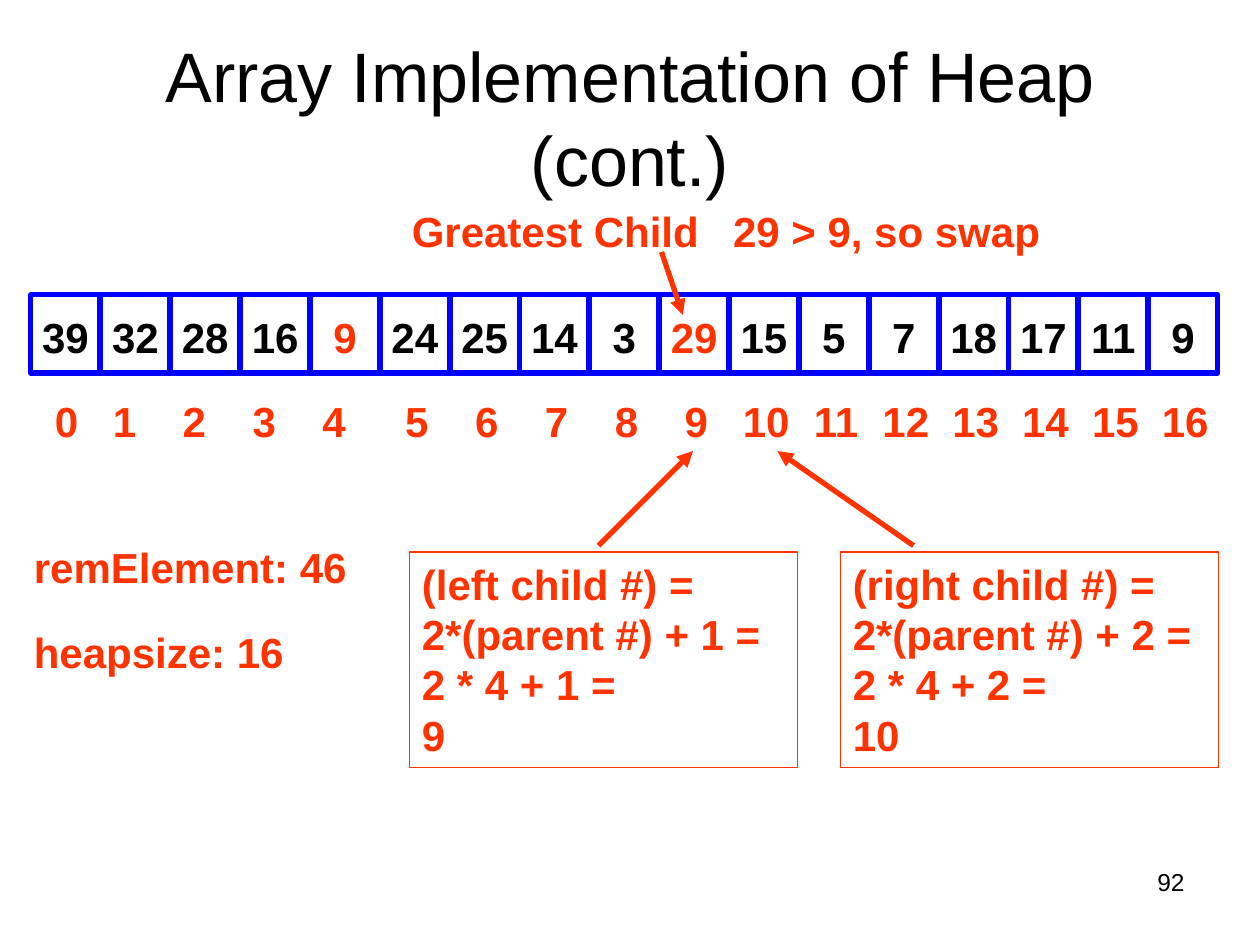
from lxml.etree import SubElement
from pptx import Presentation
from pptx.dml.color import RGBColor
from pptx.enum.shapes import MSO_CONNECTOR, MSO_SHAPE
from pptx.enum.text import MSO_ANCHOR, PP_ALIGN
from pptx.oxml.ns import qn
from pptx.util import Inches, Pt

BLACK = RGBColor(0x00, 0x00, 0x00)
WHITE = RGBColor(0xFF, 0xFF, 0xFF)
BLUE = RGBColor(0x00, 0x00, 0xFF)
ORANGE = RGBColor(0xFF, 0x33, 0x00)

prs = Presentation()
prs.slide_width, prs.slide_height = Inches(10), Inches(7.5)
slide = prs.slides.add_slide(prs.slide_layouts[6])
shapes = slide.shapes


def write(shape, text, color=ORANGE, size=24, bold=True, align=PP_ALIGN.LEFT, tabs=(), tab_align="l"):
    frame = shape.text_frame
    frame.word_wrap = True
    frame.text = text
    for paragraph in frame.paragraphs:
        paragraph.alignment = align
        if tabs:
            tab_list = SubElement(paragraph._p.get_or_add_pPr(), qn("a:tabLst"))
            for stop in tabs:
                SubElement(tab_list, qn("a:tab"), pos=str(Inches(stop)), algn=tab_align)
        for run in paragraph.runs:
            run.font.name = "Arial"
            run.font.size = Pt(size)
            run.font.bold = bold
            run.font.color.rgb = color
    return frame


def add_text(left, top, width, height, text, **style):
    box = shapes.add_textbox(Inches(left), Inches(top), Inches(width), Inches(height))
    return write(box, text, **style)


title = add_text(0.5, 0.3, 9, 1.25, "Array Implementation of Heap\v(cont.)",
                 color=BLACK, size=40, bold=False, align=PP_ALIGN.CENTER)
title.vertical_anchor = MSO_ANCHOR.MIDDLE

heap = [39, 32, 28, 16, 9, 24, 25, 14, 3, 29, 15, 5, 7, 18, 17, 11, 9]
swapped = (4, 9)
cell_width = 0.55
first_center, last_center = 0.52, 9.39
pitch = (last_center - first_center) / (len(heap) - 1)
for index, value in enumerate(heap):
    left = first_center + index * pitch - cell_width / 2
    cell = shapes.add_shape(MSO_SHAPE.RECTANGLE, Inches(left), Inches(2.34),
                            Inches(cell_width), Inches(0.62))
    cell.shadow.inherit = False
    cell.fill.solid()
    cell.fill.fore_color.rgb = WHITE
    cell.line.color.rgb = BLUE
    cell.line.width = Pt(3)
    number = write(cell, str(value), color=ORANGE if index in swapped else BLACK,
                   align=PP_ALIGN.CENTER)
    number.word_wrap = False
    number.vertical_anchor = MSO_ANCHOR.TOP
    number.margin_left = number.margin_right = number.margin_bottom = 0
    number.margin_top = Inches(0.13)

index_stops = [0.18]
index_stops += [0.64 + step * pitch for step in range(4)]
index_stops += [2.96 + step * pitch for step in range(12)]
add_text(0.25, 3.09, 9.58, 0.5, "".join(f"\t{index}" for index in range(len(heap))),
         tabs=index_stops, tab_align="ctr")

add_text(0.17, 4.25, 2.92, 0.5, "remElement: 46")
add_text(0.17, 4.92, 2.33, 0.5, "heapsize: 16")
add_text(3.17, 1.58, 5.33, 0.5, "Greatest Child\t29 > 9, so swap", tabs=[2.55])

for left, width, side, offset, child in [(3.25, 3.08, "left", 1, 9), (6.67, 3, "right", 2, 10)]:
    formula = shapes.add_shape(MSO_SHAPE.RECTANGLE, Inches(left), Inches(4.38),
                               Inches(width), Inches(1.71))
    formula.shadow.inherit = False
    formula.fill.background()
    formula.line.color.rgb = ORANGE
    formula.line.width = Pt(0.75)
    lines = write(formula, f"({side} child #) =\n2*(parent #) + {offset} =\n2 * 4 + {offset} =\n{child}")
    lines.vertical_anchor = MSO_ANCHOR.TOP

for start_x, start_y, end_x, end_y in [(4.75, 4.33, 5.5, 3.58), (7.25, 4.33, 6.17, 3.58),
                                       (5.25, 2, 5.42, 2.5)]:
    arrow = shapes.add_connector(MSO_CONNECTOR.STRAIGHT, Inches(start_x), Inches(start_y),
                                 Inches(end_x), Inches(end_y))
    arrow.line.color.rgb = ORANGE
    arrow.line.width = Pt(3)
    SubElement(arrow.line._get_or_add_ln(), qn("a:tailEnd"), type="triangle")
    SubElement(arrow._element.spPr, qn("a:effectLst"))

add_text(7.17, 6.83, 2.33, 0.52, "92", color=BLACK, size=14, bold=False, align=PP_ALIGN.RIGHT)

prs.save("out.pptx")
